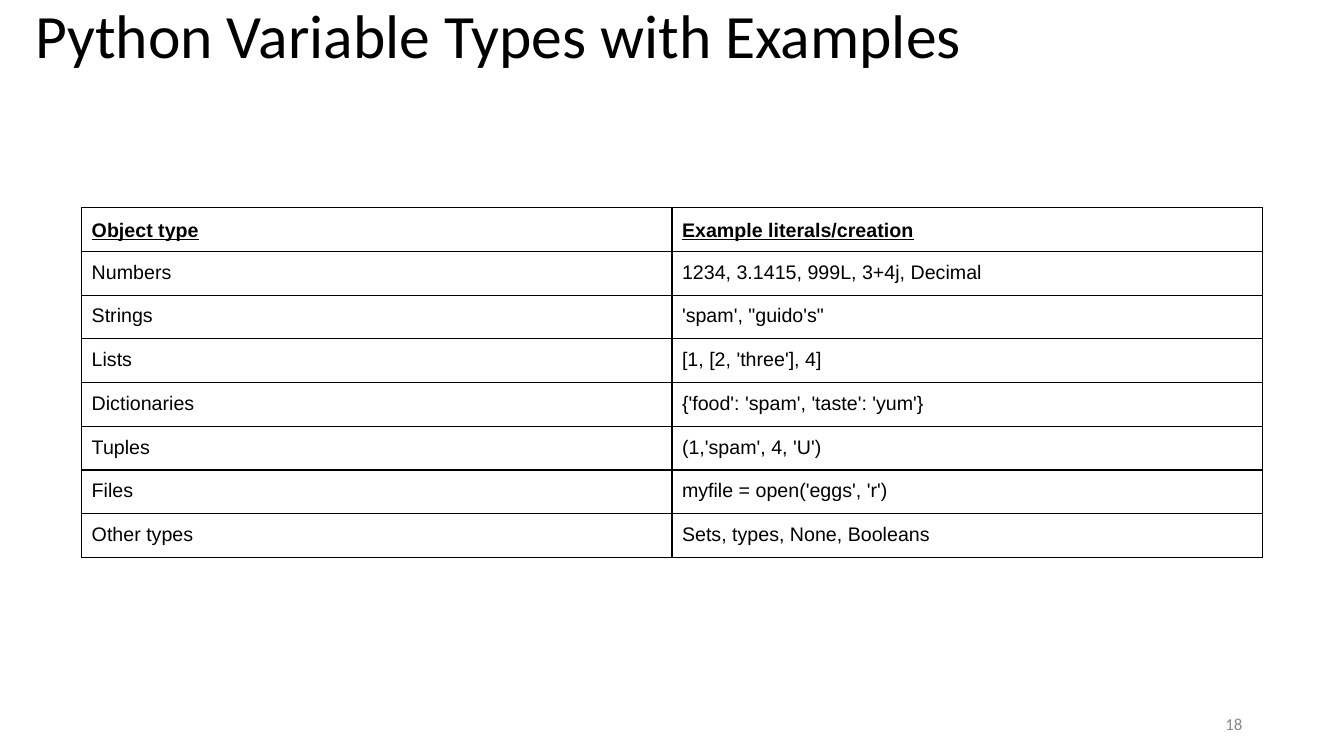
from lxml import etree
from pptx import Presentation
from pptx.dml.color import RGBColor
from pptx.enum.text import MSO_ANCHOR, PP_ALIGN
from pptx.oxml.ns import qn
from pptx.util import Inches, Pt

TOP, MIDDLE, BOTTOM = MSO_ANCHOR.TOP, MSO_ANCHOR.MIDDLE, MSO_ANCHOR.BOTTOM
LEFT, RIGHT = PP_ALIGN.LEFT, PP_ALIGN.RIGHT


def rgb(color):
    return RGBColor.from_string(color)


def write(tf, text, size=14, font="Arial", color="000000", bold=False,
          underline=False, align=LEFT, spacing=1.0):
    p = tf.paragraphs[0]
    p.alignment = align
    p.line_spacing = spacing
    r = p.add_run()
    r.text = text
    r.font.size = Pt(size)
    r.font.name = font
    r.font.color.rgb = rgb(color)
    r.font.bold = bold
    r.font.underline = underline


def border(cell, color, width):
    """Draw all four edges; they must precede the cell's fill in the XML."""
    tc_pr = cell._tc.get_or_add_tcPr()
    for i, edge in enumerate(("a:lnL", "a:lnR", "a:lnT", "a:lnB")):
        ln = etree.Element(qn(edge), w=str(Pt(width)))
        fill = etree.SubElement(ln, qn("a:solidFill"))
        etree.SubElement(fill, qn("a:srgbClr"), val=color)
        tc_pr.insert(i, ln)


class SlideBuilder:
    heading_font = "Calibri"
    ink, muted = "000000", "888888"
    pad = Inches(0.1)

    def __init__(self, prs):
        self.s = prs.slides.add_slide(prs.slide_layouts[6])

    def text(self, text, x, y, w, h, **fmt):
        sp = self.s.shapes.add_textbox(Inches(x), Inches(y), Inches(w), Inches(h))
        tf = sp.text_frame
        tf.word_wrap = True
        tf.vertical_anchor = MIDDLE
        write(tf, text, font=self.heading_font, **fmt)

    def table(self, rows, x, y, w, row_h):
        frame = self.s.shapes.add_table(len(rows), len(rows[0]), Inches(x), Inches(y),
                                        Inches(w), Inches(row_h * len(rows)))
        table = frame.table
        table.horz_banding = False
        for i, row in enumerate(rows):
            header = i == 0
            for j, text in enumerate(row):
                cell = table.cell(i, j)
                cell.fill.background()
                cell.vertical_anchor = BOTTOM if header else TOP
                cell.margin_left = cell.margin_right = self.pad
                cell.margin_top = cell.margin_bottom = self.pad
                write(cell.text_frame, text, color=self.ink, bold=header, underline=header)
                border(cell, self.ink, 1)


prs = Presentation()
prs.slide_width, prs.slide_height = Inches(13.33), Inches(7.5)
slide = SlideBuilder(prs)

# Title
slide.text("Python Variable Types with Examples", 0.25, 0.13, 12.83, 0.51,
           size=44, color=slide.ink, spacing=0.9)

# Object types and their literals
variable_types = [
    ("Object type", "Example literals/creation"),
    ("Numbers", "1234,\u00a03.1415,\u00a0999L,\u00a03+4j,\u00a0Decimal"),
    ("Strings", "'spam',\u00a0\"guido's\""),
    ("Lists", "[1, [2, 'three'], 4]"),
    ("Dictionaries", "{'food': 'spam', 'taste': 'yum'}"),
    ("Tuples", "(1,'spam', 4, 'U')"),
    ("Files", "myfile = open('eggs', 'r')"),
    ("Other types", "Sets, types,\u00a0None, Booleans"),
]
slide.table(variable_types, 0.81, 2.06, 11.71, 0.43)

# Slide number
slide.text("18", 9.42, 7.01, 3, 0.34, size=12, color=slide.muted, align=RIGHT)

prs.save("out.pptx")
